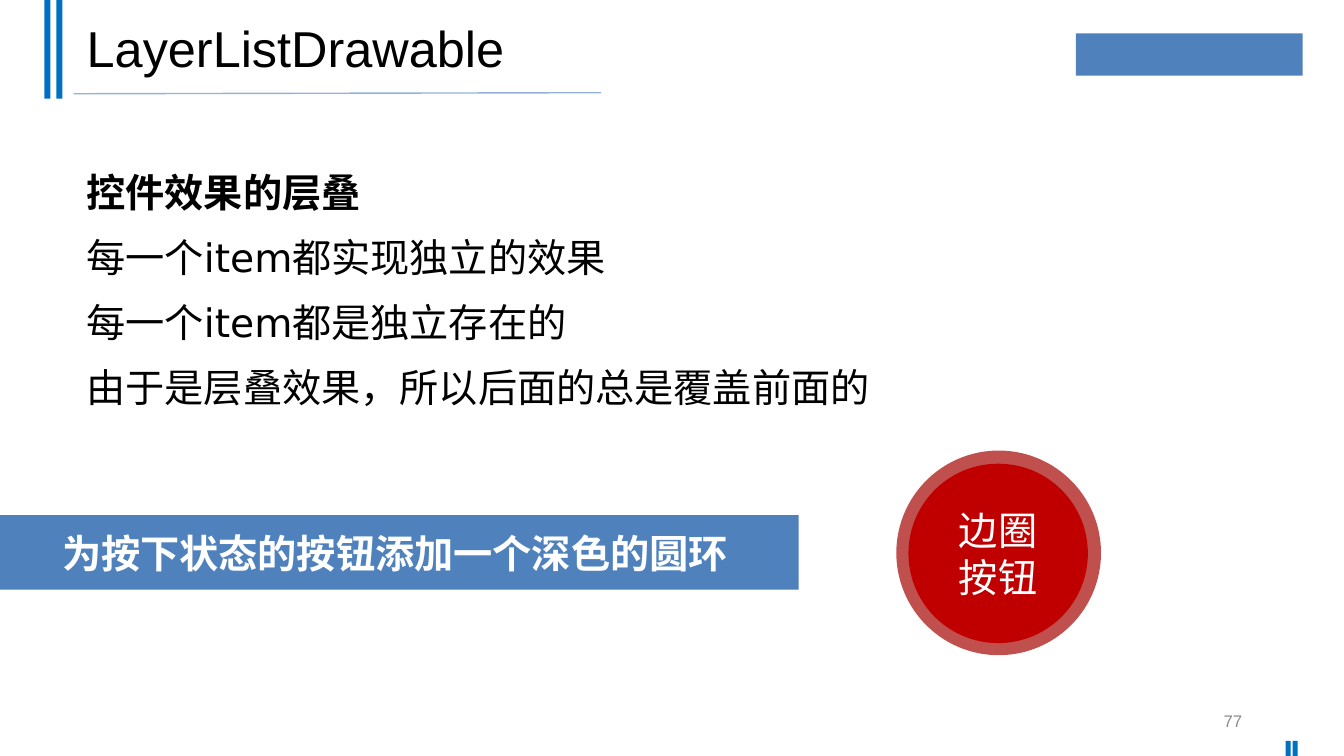
from pptx import Presentation
from pptx.dml.color import RGBColor
from pptx.enum.shapes import MSO_CONNECTOR, MSO_SHAPE
from pptx.enum.text import MSO_ANCHOR, MSO_AUTO_SIZE, PP_ALIGN
from pptx.oxml.ns import qn
from pptx.util import Inches, Pt
from lxml.etree import SubElement

COLORS = {
    "blue": "4F81BD",
    "stripe": "0070C0",
    "rule": "95B3D7",
    "ring": "C0504D",
    "button": "C00000",
    "black": "000000",
    "white": "FFFFFF",
    "gray": "8C8C8C",
}


def color(name):
    return RGBColor.from_string(COLORS[name])


def write(p, text, size=28, fill="black", font="Arial", bold=False,
          align=PP_ALIGN.LEFT, spacing=None, before=0):
    p.alignment = align
    p.space_before = Pt(before)
    if spacing:
        p.line_spacing = spacing
    r = p.add_run()
    r.text = text
    r.font.name = font
    r.font.size = Pt(size)
    r.font.bold = bold
    r.font.color.rgb = color(fill)


class SlideBuilder:
    def __init__(self, prs, font="Arial"):
        self.s = prs.slides.add_slide(prs.slide_layouts[5])
        self.font = font

    def fill_frame(self, tf, lines, anchor=MSO_ANCHOR.TOP, wrap=True):
        tf.word_wrap = wrap
        tf.vertical_anchor = anchor
        for i, (text, fmt) in enumerate(lines):
            p = tf.add_paragraph() if i else tf.paragraphs[0]
            write(p, text, **{"font": self.font, **fmt})

    def title(self, text, x, y, w, h, **fmt):
        sp = self.s.shapes.title
        sp.left, sp.top, sp.width, sp.height = map(Inches, (x, y, w, h))
        self.fill_frame(sp.text_frame, [(text, fmt)], MSO_ANCHOR.MIDDLE)

    def text(self, lines, x, y, w, h, anchor=MSO_ANCHOR.TOP, wrap=True, grow=False):
        sp = self.s.shapes.add_textbox(*map(Inches, (x, y, w, h)))
        self.fill_frame(sp.text_frame, lines, anchor, wrap)
        if grow:
            sp.text_frame.auto_size = MSO_AUTO_SIZE.SHAPE_TO_FIT_TEXT

    def shape(self, kind, fill, x, y, w, h, lines=(), wrap=True, group=None):
        shapes = group.shapes if group else self.s.shapes
        sp = shapes.add_shape(kind, *map(Inches, (x, y, w, h)))
        sp.shadow.inherit = False
        sp.fill.solid()
        sp.fill.fore_color.rgb = color(fill)
        sp.line.fill.background()
        self.fill_frame(sp.text_frame, lines, MSO_ANCHOR.MIDDLE, wrap)

    def line(self, x1, y1, x2, y2, fill, width=1):
        cx = self.s.shapes.add_connector(
            MSO_CONNECTOR.STRAIGHT, *map(Inches, (x1, y1, x2, y2)))
        cx.line.color.rgb = color(fill)
        cx.line.width = Pt(width)
        SubElement(cx._element.spPr, qn("a:effectLst"))


def main():
    prs = Presentation()
    prs.slide_width, prs.slide_height = Inches(13.33), Inches(7.5)
    b = SlideBuilder(prs)

    b.shape(MSO_SHAPE.RECTANGLE, "blue", 10.67, 0.33, 2.25, 0.42)

    for x, y, w, h in ((0.44, 0, 0.06, 0.98), (0.56, 0, 0.06, 0.98),
                       (12.75, 7.35, 0.05, 0.15), (12.82, 7.35, 0.05, 0.15)):
        b.shape(MSO_SHAPE.RECTANGLE, "stripe", x, y, w, h)
    b.line(0.73, 0.93, 5.96, 0.92, "rule")

    b.title("LayerListDrawable", 0.76, 0.07, 11.5, 0.88, size=36, spacing=0.9)
    b.text([("77", dict(size=12, fill="gray", align=PP_ALIGN.RIGHT))],
           9.42, 6.95, 3, 0.4, anchor=MSO_ANCHOR.MIDDLE)

    centered = dict(fill="white", align=PP_ALIGN.CENTER)
    b.shape(MSO_SHAPE.RECTANGLE, "blue", 0, 5.11, 7.92, 0.74,
            [("为按下状态的按钮添加一个深色的圆环 ", dict(bold=True, **centered))])

    body = dict(font="DejaVu Sans", spacing=1.2)
    points = ("每一个item都实现独立的效果", "每一个item都是独立存在的",
              "由于是层叠效果，所以后面的总是覆盖前面的")
    b.text([("控件效果的层叠", dict(bold=True, before=12, **body))]
           + [(point, dict(before=6, **body)) for point in points],
           0.76, 1.53, 8.06, 2.62, wrap=False, grow=True)

    group = b.s.shapes.add_group_shape()
    b.shape(MSO_SHAPE.OVAL, "ring", 8.89, 4.47, 2.03, 2.03, group=group)
    b.shape(MSO_SHAPE.OVAL, "button", 9.01, 4.6, 1.78, 1.78,
            [(text, centered) for text in ("边圈", "按钮")], wrap=False, group=group)

    prs.save("out.pptx")


if __name__ == "__main__":
    main()
